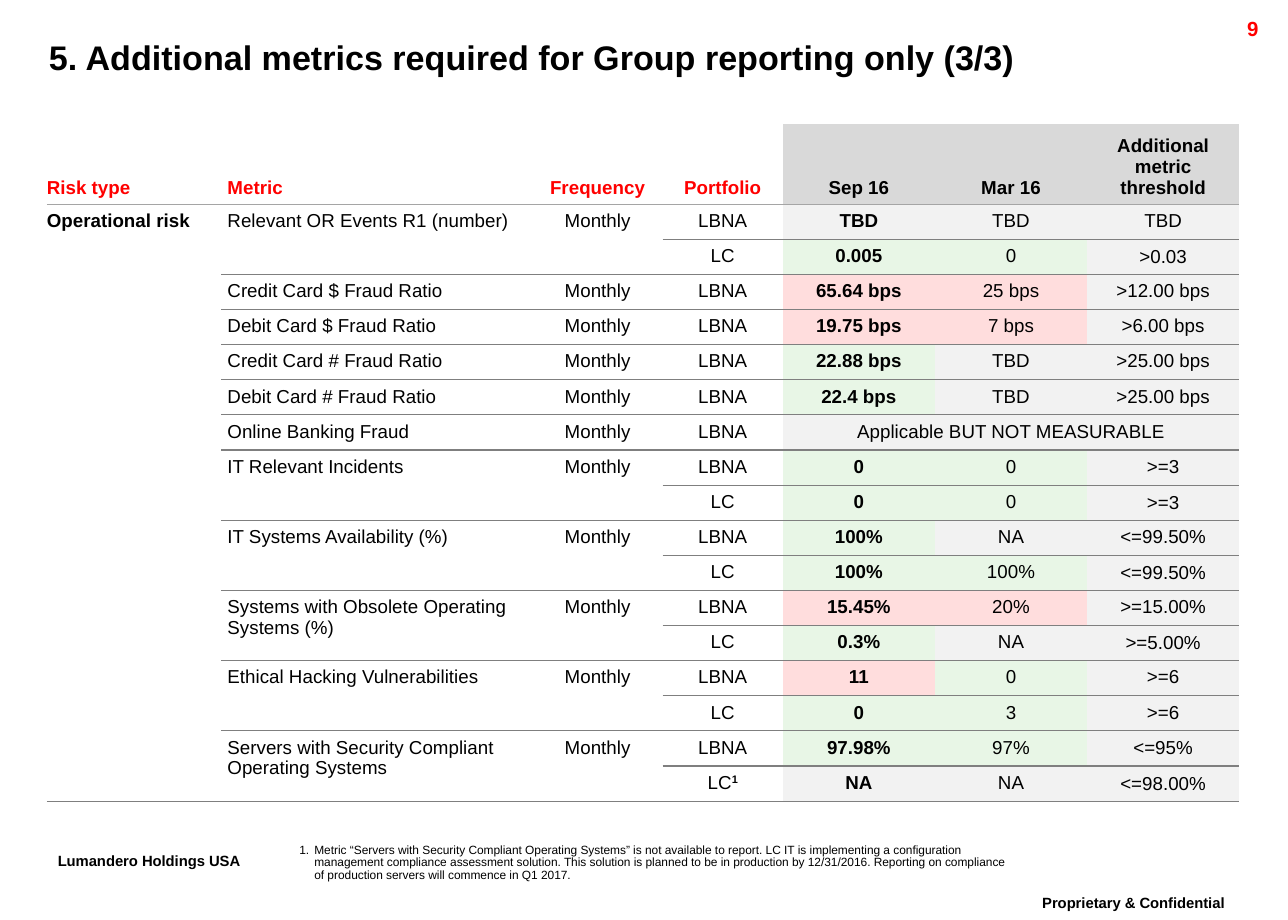
"""Build the slide of additional operational risk metrics for Group reporting."""
from lxml.etree import SubElement
from pptx import Presentation
from pptx.dml.color import RGBColor
from pptx.enum.text import MSO_ANCHOR, MSO_AUTO_SIZE, PP_ALIGN
from pptx.oxml.ns import qn
from pptx.util import Cm, Pt

TITLE = "5. Additional metrics required for Group reporting only (3/3)"
NOTE = (
    "Metric “Servers with Security Compliant Operating Systems” is not available to report. "
    "LC IT is implementing a configuration management compliance assessment solution. "
    "This solution is planned to be in production by 12/31/2016. "
    "Reporting on compliance of production servers will commence in Q1 2017."
)
HEADERS = ["Risk type", "Metric", "Frequency", "Portfolio", "Sep 16", "Mar 16",
           "Additional metric threshold"]
RISK_TYPE = "Operational risk"
FREQUENCY = "Monthly"
FILLS = {"green": "E8F6E6", "red": "FFDDDD", "grey": "F2F2F2"}
METRICS = [
    ("Relevant OR Events R1 (number)", [
        ("LBNA", ("TBD", "grey"), ("TBD", "grey"), "TBD"),
        ("LC", ("0.005", "green"), ("0", "green"), ">0.03")]),
    ("Credit Card $ Fraud Ratio", [
        ("LBNA", ("65.64 bps", "red"), ("25 bps", "red"), ">12.00 bps")]),
    ("Debit Card $ Fraud Ratio", [
        ("LBNA", ("19.75 bps", "red"), ("7 bps", "red"), ">6.00 bps")]),
    ("Credit Card # Fraud Ratio", [
        ("LBNA", ("22.88 bps", "green"), ("TBD", "grey"), ">25.00 bps")]),
    ("Debit Card # Fraud Ratio", [
        ("LBNA", ("22.4 bps", "green"), ("TBD", "grey"), ">25.00 bps")]),
    ("Online Banking Fraud", [
        ("LBNA", ("Applicable BUT NOT MEASURABLE", "grey"), None, None)]),
    ("IT Relevant Incidents", [
        ("LBNA", ("0", "green"), ("0", "green"), ">=3"),
        ("LC", ("0", "green"), ("0", "green"), ">=3")]),
    ("IT Systems Availability (%)", [
        ("LBNA", ("100%", "green"), ("NA", "grey"), "<=99.50%"),
        ("LC", ("100%", "green"), ("100%", "green"), "<=99.50%")]),
    ("Systems with Obsolete Operating Systems (%)", [
        ("LBNA", ("15.45%", "red"), ("20%", "red"), ">=15.00%"),
        ("LC", ("0.3%", "green"), ("NA", "grey"), ">=5.00%")]),
    ("Ethical Hacking Vulnerabilities", [
        ("LBNA", ("11", "red"), ("0", "green"), ">=6"),
        ("LC", ("0", "green"), ("3", "green"), ">=6")]),
    ("Servers with Security Compliant Operating Systems", [
        ("LBNA", ("97.98%", "green"), ("97%", "green"), "<=95%"),
        ("LC", ("NA", "grey"), ("NA", "grey"), "<=98.00%")]),
]
NOTED_METRIC = METRICS[-1][0]
COLUMN_WIDTHS = [3.61, 6.45, 2.69, 2.49, 3.15, 3.15, 3.15]
HEADER_HEIGHT, ROW_HEIGHT = 1.65, 0.72
TABLE_LEFT, TABLE_TOP = 0.97, 2.57
NO_STYLE = "{2D5ABB26-0587-4C30-8999-92F81FD0307C}"
SMALL_PRINT = [
    ("Proprietary & Confidential", (20.7, 18.42, 5.54, 0.89), True,
     PP_ALIGN.CENTER, 15, "000000", 30),
    ("Lumandero Holdings USA", (0.66, 17.55, 4.85, 0.89), False,
     PP_ALIGN.CENTER, 15, "000000", 30),
    ("9", (23.77, 0.28, 2.54, 0.61), True, PP_ALIGN.RIGHT, 12, "FF0000", 0),
]


def color(value):
    return RGBColor.from_string(value)


def apply(target, formats):
    for name, value in formats.items():
        setattr(target, name, value)


def add_span(para, text, size, bold=False, ink="000000", raised=0):
    span = para.add_run()
    span.text = text
    apply(span.font, {"name": "Arial", "size": Pt(size), "bold": bold})
    span.font.color.rgb = color(ink)
    if raised:
        span._r.get_or_add_rPr().set("baseline", str(raised * 1000))


def add_box(page, place, wrap=True):
    box = page.shapes.add_textbox(*map(Cm, place))
    box.text_frame.word_wrap = wrap
    para = box.text_frame.paragraphs[0]
    para.line_spacing = 0.86
    return box.text_frame, para


def add_bottom_line(cell, ink, width):
    line = SubElement(cell._tc.get_or_add_tcPr(), qn("a:lnB"), w=str(Pt(width)))
    fill = SubElement(line, qn("a:solidFill"))
    SubElement(fill, qn("a:srgbClr"), val=ink)


def fill_cell(cell, text, column, bold=False, ink="000000", fill=None,
              anchor=MSO_ANCHOR.TOP):
    margin = Cm(0.13)
    apply(cell, {"margin_left": margin if column else 0, "margin_right": margin,
                 "margin_top": margin, "margin_bottom": margin,
                 "vertical_anchor": anchor})
    para = cell.text_frame.paragraphs[0]
    para.alignment = PP_ALIGN.LEFT if column < 2 else PP_ALIGN.CENTER
    add_span(para, text, 11, bold, ink)
    if fill:
        cell.fill.solid()
        cell.fill.fore_color.rgb = color(fill)
    else:
        cell.fill.background()
    return para


def add_metrics_table(page):
    row_count = sum(len(portfolios) for _, portfolios in METRICS)
    frame = page.shapes.add_table(
        row_count + 1, len(HEADERS), Cm(TABLE_LEFT), Cm(TABLE_TOP),
        Cm(sum(COLUMN_WIDTHS)), Cm(HEADER_HEIGHT + row_count * ROW_HEIGHT))
    table = frame.table
    apply(table, {"first_row": False, "horz_banding": False})
    table._tbl.tblPr.find(qn("a:tableStyleId")).text = NO_STYLE
    for column, width in zip(table.columns, COLUMN_WIDTHS):
        column.width = Cm(width)
    for index, row in enumerate(table.rows):
        row.height = Cm(ROW_HEIGHT if index else HEADER_HEIGHT)
        for cell in row.cells:
            add_bottom_line(cell, *(("7F7F7F", 0.75) if index else ("A5A5A5", 1)))

    for column, text in enumerate(HEADERS):
        ink, fill = ("FF0000", None) if column < 4 else ("000000", "D9D9D9")
        fill_cell(table.cell(0, column), text, column, True, ink, fill, MSO_ANCHOR.BOTTOM)

    table.cell(1, 0).merge(table.cell(row_count, 0))
    fill_cell(table.cell(1, 0), RISK_TYPE, 0, True)
    top = 1
    for metric, portfolios in METRICS:
        for column, text in ((1, metric), (2, FREQUENCY)):
            if len(portfolios) > 1:
                table.cell(top, column).merge(table.cell(top + len(portfolios) - 1, column))
            fill_cell(table.cell(top, column), text, column)
        for row, (portfolio, latest, earlier, threshold) in enumerate(portfolios, top):
            para = fill_cell(table.cell(row, 3), portfolio, 3)
            if metric == NOTED_METRIC and row > top:
                add_span(para, "1", 11, True, raised=30)
            measured = threshold is not None
            fill_cell(table.cell(row, 4), latest[0], 4, measured, fill=FILLS[latest[1]])
            if measured:
                fill_cell(table.cell(row, 5), earlier[0], 5, fill=FILLS[earlier[1]])
                anchor = MSO_ANCHOR.MIDDLE if row > top else MSO_ANCHOR.TOP
                fill_cell(table.cell(row, 6), threshold, 6, fill=FILLS["grey"], anchor=anchor)
            else:
                table.cell(row, 4).merge(table.cell(row, 6))
        top += len(portfolios)


def add_title(page):
    title = page.shapes.title
    apply(title, {"left": Cm(0.76), "top": Cm(0.74), "width": Cm(24.94), "height": Cm(0.99)})
    apply(title.text_frame, {"vertical_anchor": MSO_ANCHOR.TOP, "word_wrap": True,
                             "auto_size": MSO_AUTO_SIZE.NONE})
    para = title.text_frame.paragraphs[0]
    apply(para, {"alignment": PP_ALIGN.LEFT, "line_spacing": 0.86})
    add_span(para, TITLE, 20, True)


def add_note(page):
    frame, para = add_box(page, (6.2, 17.49, 14.73, 0.8))
    apply(frame, dict.fromkeys(
        ("margin_left", "margin_top", "margin_right", "margin_bottom"), 0))
    add_span(para, NOTE, 7)
    properties = para._p.get_or_add_pPr()
    properties.set("marL", str(Cm(0.31)))
    properties.set("indent", str(Cm(-0.31)))
    SubElement(properties, qn("a:buFont"), typeface="Arial")
    SubElement(properties, qn("a:buAutoNum"), type="arabicPeriod")


def main():
    deck = Presentation()
    apply(deck, {"slide_width": Cm(26.67), "slide_height": Cm(19.05)})
    page = deck.slides.add_slide(deck.slide_layouts[5])
    for text, place, wrap, alignment, size, ink, raised in SMALL_PRINT:
        _, para = add_box(page, place, wrap)
        para.alignment = alignment
        add_span(para, text, size, True, ink, raised)
    add_title(page)
    add_metrics_table(page)
    add_note(page)
    deck.save("out.pptx")


if __name__ == "__main__":
    main()
